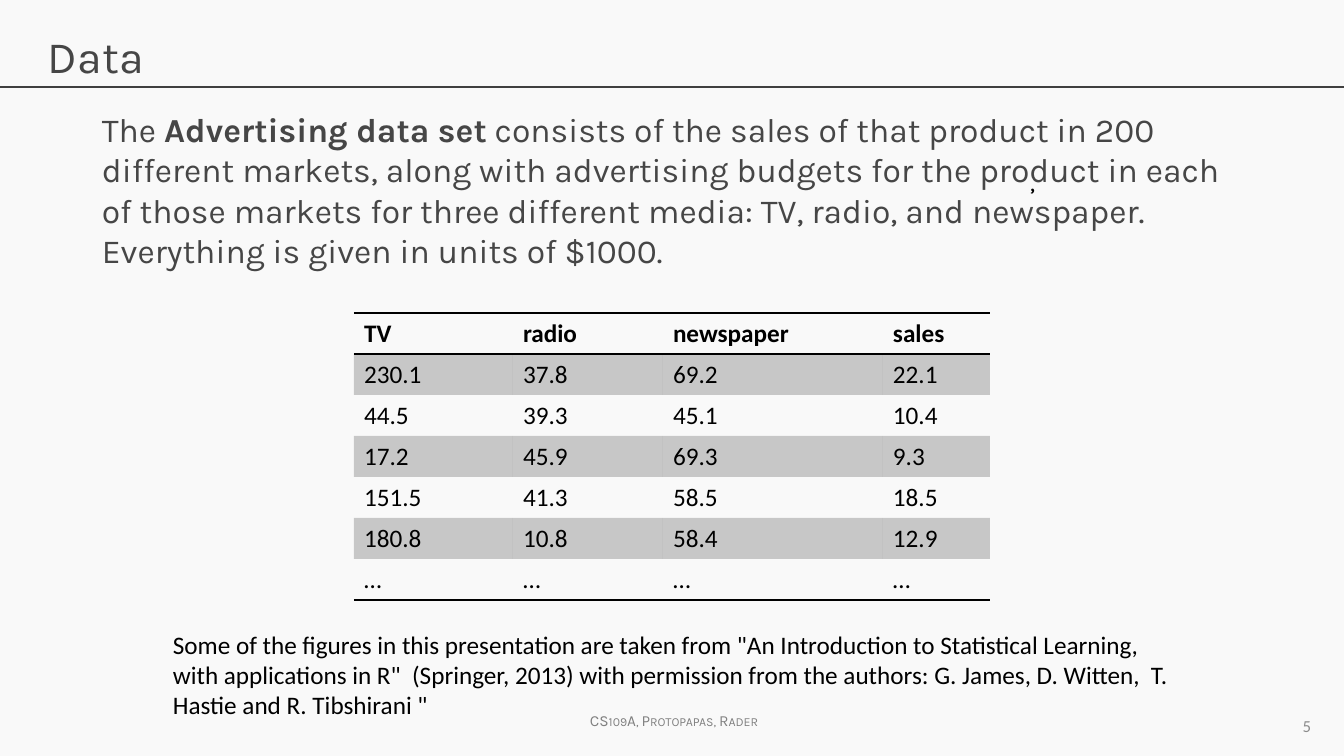
import pptx
import pptx.dml.color
import pptx.enum.shapes
import pptx.enum.text
import pptx.oxml
import pptx.oxml.ns
import pptx.util
from lxml import etree

ALIGN = pptx.enum.text.PP_ALIGN
ANCHOR = pptx.enum.text.MSO_ANCHOR
COLORS = {
    "paper": "F9F9F9",
    "rule": "404040",
    "heading": "464646",
    "footer": "808080",
    "number": "8C8C8C",
    "ink": "000000",
}
PLAIN_TABLE = "{2D5ABB26-0587-4C30-8999-92F81FD0307C}"
qn = pptx.oxml.ns.qn


class Deck:
    def __init__(self, width, height):
        self.presentation = pptx.Presentation()
        self.presentation.slide_width = self.px(width)
        self.presentation.slide_height = self.px(height)
        self.slide = self.presentation.slides.add_slide(self.presentation.slide_layouts[6])
        background = self.slide.background.fill
        background.solid()
        background.fore_color.rgb = self.color("paper")

    def px(self, length):
        return pptx.util.Emu(round(length * 914400 / 100.8))

    def color(self, name):
        return pptx.dml.color.RGBColor.from_string(COLORS[name])

    def style(self, font, face, size, color, bold=False):
        font.name = face
        font.size = pptx.util.Pt(size)
        font.bold = bold
        font.color.rgb = self.color(color)

    def line(self, start, end, color, weight):
        rule = self.slide.shapes.add_connector(
            pptx.enum.shapes.MSO_CONNECTOR.STRAIGHT, *map(self.px, start + end))
        rule.line.color.rgb = self.color(color)
        rule.line.width = pptx.util.Pt(weight)
        etree.SubElement(rule.element.spPr, qn("a:effectLst"))

    def text(self, box, parts, face, size, color, align=ALIGN.LEFT,
             anchor=ANCHOR.TOP, wrap=True, small_caps=False):
        frame = self.slide.shapes.add_textbox(*map(self.px, box)).text_frame
        frame.word_wrap = wrap
        frame.vertical_anchor = anchor
        paragraph = frame.paragraphs[0]
        paragraph.alignment = align
        for wording, bold in parts:
            run = paragraph.add_run()
            run.text = wording
            self.style(run.font, face, size, color, bold)
            if small_caps:
                run.font._element.set("cap", "small")

    def border(self, cell, side):
        properties = cell._tc.get_or_add_tcPr()
        edge = etree.SubElement(properties, qn(f"a:ln{side}"), w=str(pptx.util.Pt(1)))
        fill = etree.SubElement(edge, qn("a:solidFill"))
        etree.SubElement(fill, qn("a:srgbClr"), val=COLORS["ink"])

    def table(self, left, top, widths, row_height, rows):
        frame = self.slide.shapes.add_table(
            len(rows), len(widths),
            *map(self.px, (left, top, sum(widths), row_height * len(rows))))
        next(frame.element.iter(qn("a:tableStyleId"))).text = PLAIN_TABLE
        grid = frame.table
        grid.horz_banding = False
        for column, width in zip(grid.columns, widths):
            column.width = self.px(width)
        for r, values in enumerate(rows):
            grid.rows[r].height = self.px(row_height)
            sides = {0: "TB", len(rows) - 1: "B"}.get(r, "")
            for c, value in enumerate(values):
                cell = grid.cell(r, c)
                cell.text = value
                self.style(cell.text_frame.paragraphs[0].runs[0].font,
                           "Calibri", 18, "ink", r == 0)
                for side in sides:
                    self.border(cell, side)
                if r % 2:
                    cell.fill.solid()
                    cell.fill.fore_color.rgb = self.color("ink")
                    shade = next(cell._tc.tcPr.iter(qn("a:srgbClr")))
                    etree.SubElement(shade, qn("a:alpha"), val="20000")
                else:
                    cell.fill.background()

    def save(self):
        self.presentation.save("out.pptx")


def main():
    deck = Deck(1344, 756)
    deck.line((0, 87), (1344, 87), "rule", 0.75)
    deck.text((580, 706, 198, 29), [("CS109A, Protopapas, Rader", False)],
              "Karla", 11, "footer", wrap=False, small_caps=True)
    deck.text((38, 24, 1267, 85), [("Data", False)], "Karla", 32, "heading")
    deck.table(354, 313, (159, 150, 220, 107), 41, [
        ("TV", "radio", "newspaper", "sales"),
        ("230.1", "37.8", "69.2", "22.1"),
        ("44.5", "39.3", "45.1", "10.4"),
        ("17.2", "45.9", "69.3", "9.3"),
        ("151.5", "41.3", "58.5", "18.5"),
        ("180.8", "10.8", "58.4", "12.9"),
        ("…",) * 4,
    ])
    deck.text((1008, 706, 313, 40), [("5", False)], "Calibri", 12, "number",
              align=ALIGN.RIGHT, anchor=ANCHOR.MIDDLE)
    deck.text((1020, 161, 25, 72), [(",", False)], "Karla", 18, "ink",
              align=ALIGN.CENTER, wrap=False)
    deck.text((92, 104, 1138, 233), [
        ("The ", False),
        ("Advertising data set", True),
        (" consists of the sales of that product in 200 different markets, along with "
         "advertising budgets for the product in each of those markets for three different "
         "media: TV, radio, and newspaper. Everything is given in units of $1000.", False),
    ], "Karla", 24, "heading")
    deck.text((163, 624, 1031, 132), [
        ("Some of the figures in this presentation are taken from \"An Introduction to "
         "Statistical Learning, with applications in R\"  (Springer, 2013) with permission "
         "from the authors: G. James, D. Witten,  T. Hastie and R. Tibshirani \"", False),
    ], "Calibri", 18, "ink")
    deck.save()


if __name__ == "__main__":
    main()
